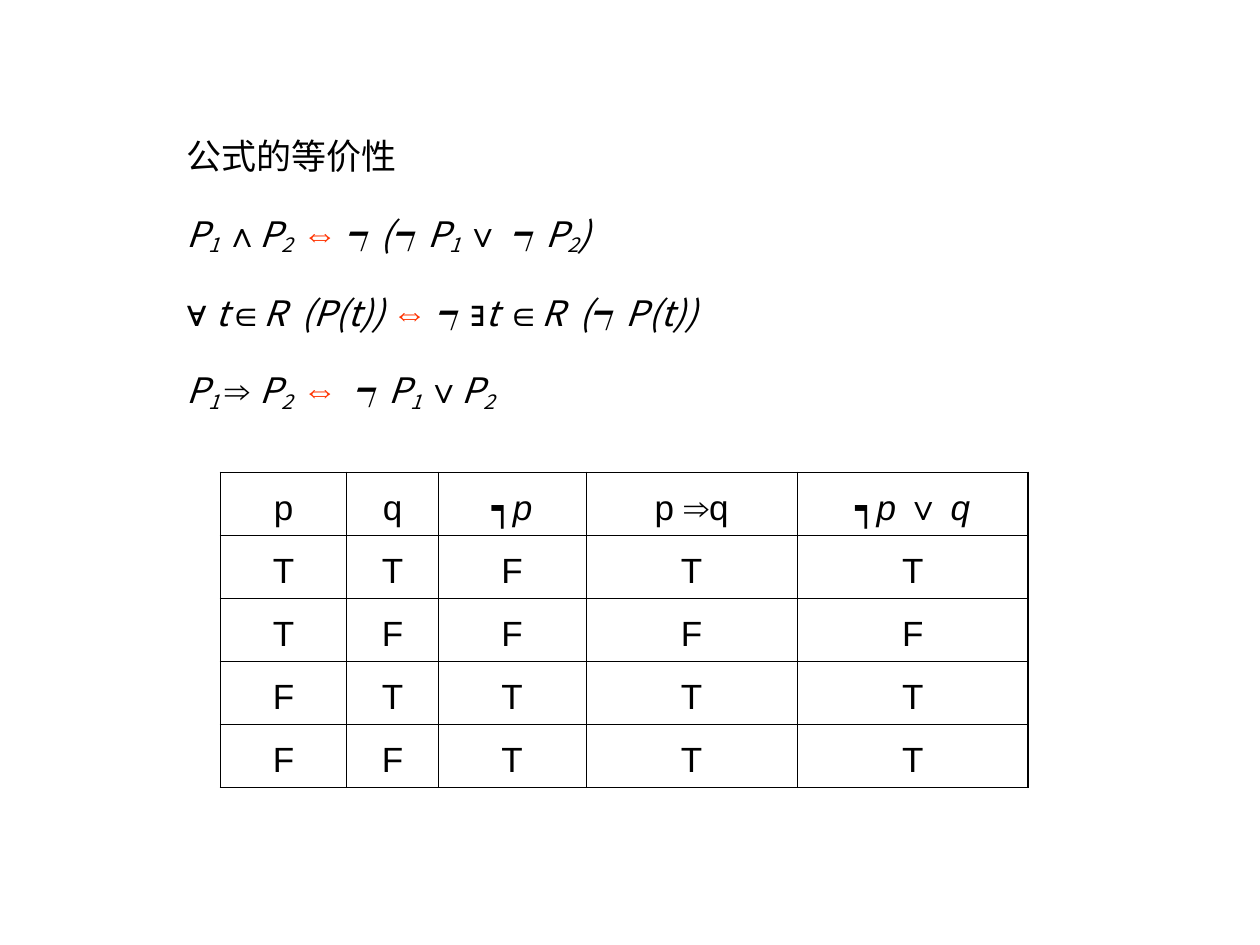
"""Builds the slide on equivalent logical formulas with its truth table."""
from lxml.etree import SubElement
from pptx import Presentation
from pptx.dml.color import RGBColor
from pptx.enum.text import MSO_ANCHOR as Anchor, MSO_AUTO_SIZE as AutoSize, PP_ALIGN as Align
from pptx.oxml.ns import qn
from pptx.util import Inches, Pt

COLORS = {"ink": "000000", "equivalence": "FF3300", "paper": "FFFFFF"}
TEXT_FONT, SYMBOL_FONT = "Noto Sans CJK SC", "Arial"
STYLES = {
    "heading": {"name": TEXT_FONT},
    "variable": {"name": TEXT_FONT, "italic": True},
    "index": {"name": TEXT_FONT, "italic": True},
    "operator": {"name": SYMBOL_FONT},
    "equivalence": {"name": SYMBOL_FONT, "bold": True},
    "symbol": {"name": SYMBOL_FONT, "italic": True},
}
FORMULAS = [
    [("heading", "公式的等价性")],
    [("variable", "P"), ("index", "1 "), ("operator", "∧"), ("variable", "P"),
     ("index", "2  "), ("equivalence", "⇔"), ("variable", " ┑(┑P"), ("index", "1 "),
     ("operator", "∨ "), ("variable", "┑P"), ("index", "2"), ("variable", ")")],
    [("operator", "∀"), ("variable", " t"), ("operator", "∈"), ("variable", "R  (P(t)) "),
     ("equivalence", "⇔"), ("variable", " ┑"), ("operator", "∃"), ("variable", "t "),
     ("operator", "∈"), ("variable", "R  (┑P(t))")],
    [("variable", "P"), ("index", "1 "), ("operator", "⇒ "), ("variable", "P"),
     ("index", "2  "), ("equivalence", "⇔"), ("variable", "  ┑P"), ("index", "1 "),
     ("operator", "∨"), ("variable", "P"), ("index", "2")],
]
HEADINGS = [
    [("operator", "p")], [("operator", "q")], [("symbol", "┑p")], [("operator", "p ⇒q")],
    [("symbol", "┑p "), ("operator", "∨"), ("symbol", " q")],
]
TRUTH_VALUES = ["TTFTT", "TFFFF", "FTTTT", "FFTTT"]
COLUMN_WIDTHS = [1, 0.73, 1.17, 1.68, 1.83]
ROW_HEIGHT = 0.5
INNER_LINE, OUTER_LINE = 0.45, 1.08


def write_runs(paragraph, pieces):
    for style, words in pieces:
        run = paragraph.add_run()
        run.text = words
        color = COLORS.get(style, COLORS["ink"])
        run.font.color.rgb = RGBColor.from_string(color)
        for attribute, value in {"size": Pt(20), "bold": False, "italic": False,
                                 **STYLES[style]}.items():
            setattr(run.font, attribute, value)
        properties = run._r.get_or_add_rPr()
        SubElement(properties, qn("a:ea"), typeface=STYLES[style]["name"])
        if style == "index":
            properties.set("baseline", "-16000")


def add_formulas(slide):
    body = slide.placeholders[1]
    body.left, body.top, body.width, body.height = map(Inches, (1.38, 0.92, 6.85, 2.41))
    frame = body.text_frame
    frame.auto_size = AutoSize.NONE
    for number, pieces in enumerate(FORMULAS):
        paragraph = frame.add_paragraph() if number else frame.paragraphs[0]
        properties = paragraph._p.get_or_add_pPr()
        properties.set("marL", "0")
        properties.set("indent", "0")
        SubElement(properties, qn("a:buNone"))
        paragraph.line_spacing = 1.3
        paragraph.space_before = Pt(12.5 if number else 0)
        write_runs(paragraph, pieces)


def add_borders(cell, widths):
    properties = cell._tc.get_or_add_tcPr()
    for position, (side, width) in enumerate(widths.items()):
        line = properties.makeelement(qn(f"a:ln{side}"), {"w": str(Pt(width))})
        properties.insert(position, line)
        fill = SubElement(line, qn("a:solidFill"))
        SubElement(fill, qn("a:srgbClr"), val=COLORS["ink"])


def add_truth_table(slide):
    rows = [HEADINGS] + [[[("operator", value)] for value in row] for row in TRUTH_VALUES]
    last_row, last_column = len(rows) - 1, len(COLUMN_WIDTHS) - 1
    table = slide.shapes.add_table(
        len(rows), len(COLUMN_WIDTHS), Inches(1.75), Inches(3.75),
        Inches(sum(COLUMN_WIDTHS)), Inches(ROW_HEIGHT * len(rows))).table
    table.first_row = table.horz_banding = False
    for column, width in zip(table.columns, COLUMN_WIDTHS):
        column.width = Inches(width)
    for r, row in enumerate(rows):
        table.rows[r].height = Inches(ROW_HEIGHT)
        for c, pieces in enumerate(row):
            cell = table.cell(r, c)
            cell.fill.solid()
            cell.fill.fore_color.rgb = RGBColor.from_string(COLORS["paper"])
            cell.vertical_anchor = Anchor.MIDDLE
            paragraph = cell.text_frame.paragraphs[0]
            paragraph.alignment = Align.CENTER
            paragraph.line_spacing = 1.2
            write_runs(paragraph, pieces)
            outer = {"L": c == 0, "R": c == last_column, "T": r == 0, "B": r == last_row}
            add_borders(cell, {side: OUTER_LINE if edge else INNER_LINE
                               for side, edge in outer.items()})


def main():
    deck = Presentation()
    deck.slide_width, deck.slide_height = Inches(10), Inches(7.5)
    slide = deck.slides.add_slide(deck.slide_layouts[1])
    title = slide.shapes.title._element
    title.getparent().remove(title)
    add_formulas(slide)
    add_truth_table(slide)
    deck.save("out.pptx")


if __name__ == "__main__":
    main()
